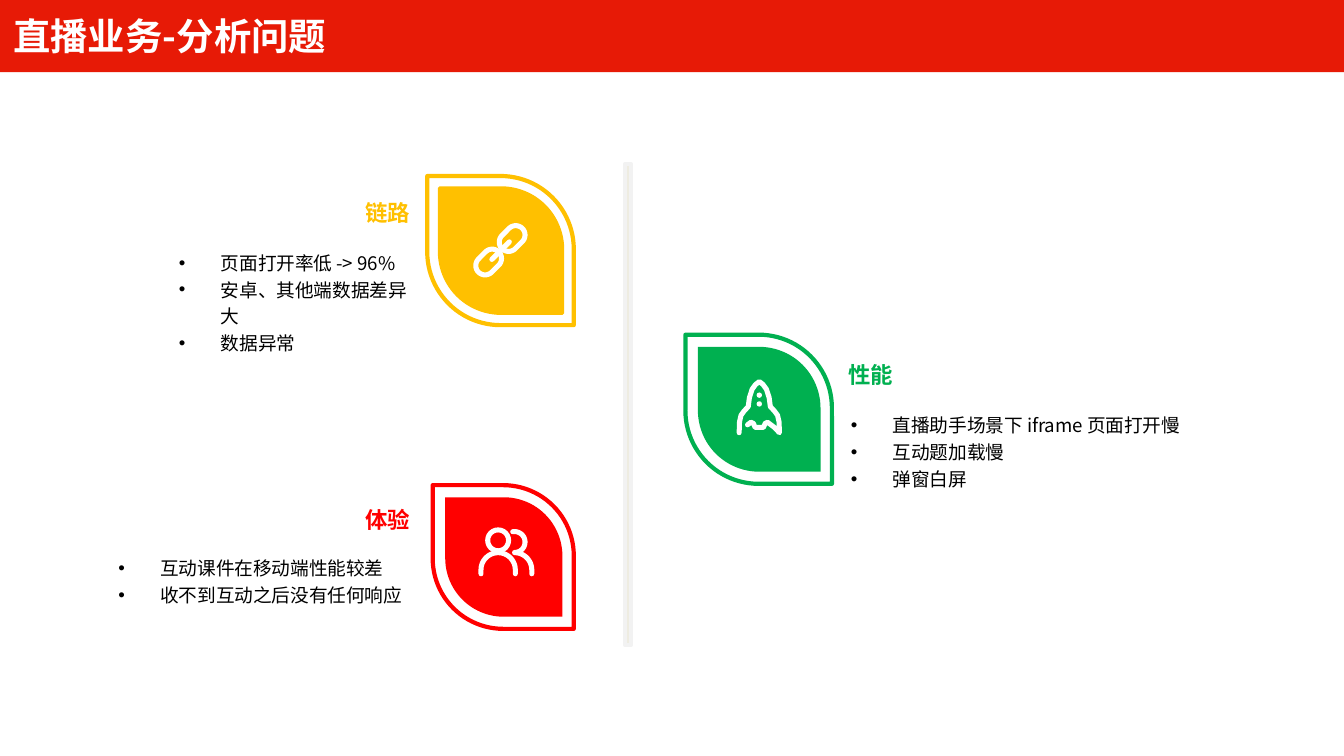
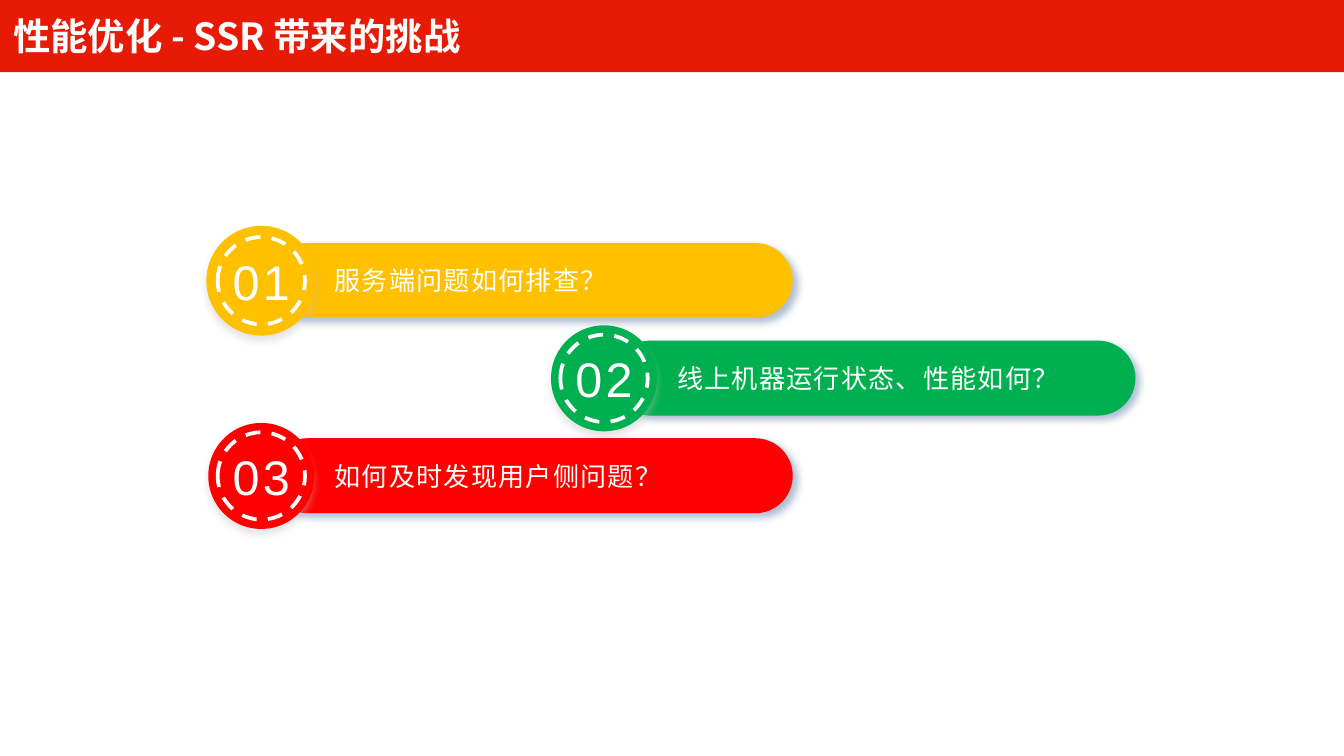
"""Build two slides: live-streaming problem analysis and the challenges of SSR."""
from math import cos, radians, sin

from lxml.etree import SubElement
from pptx import Presentation
from pptx.dml.color import RGBColor
from pptx.enum.dml import MSO_LINE_DASH_STYLE as DASH
from pptx.enum.shapes import MSO_SHAPE as SHAPE
from pptx.enum.text import MSO_ANCHOR as ANCHOR, PP_ALIGN as ALIGN
from pptx.oxml.ns import qn
from pptx.util import Pt

BAND_RED = RGBColor(0xE7, 0x1A, 0x06)
YELLOW = RGBColor(0xFF, 0xC0, 0x00)
GREEN = RGBColor(0x00, 0xB0, 0x50)
RED = RGBColor(0xFF, 0x00, 0x00)
WHITE = RGBColor(0xFF, 0xFF, 0xFF)
BLACK = RGBColor(0x00, 0x00, 0x00)
BEIGE = RGBColor(0xEE, 0xEC, 0xE1)
PALE_GREY = RGBColor(0xF2, 0xF2, 0xF2)
SHADOW_BLUE = RGBColor(0x37, 0x60, 0x92)
SHADOW_GREY = RGBColor(0xBF, 0xBF, 0xBF)
CJK = "Noto Sans CJK SC"


def add_shape(s, kind, box, fill=None, line=None, width=2, shadow=None):
    sp = s.shapes.add_shape(kind, *[Pt(v) for v in box])
    sp.shadow.inherit = False
    if fill is None:
        sp.fill.background()
    else:
        sp.fill.solid()
        sp.fill.fore_color.rgb = fill
    if line is None:
        sp.line.fill.background()
    else:
        sp.line.color.rgb = line
        sp.line.width = Pt(width)
    if shadow:
        color, angle = shadow
        effects = sp._element.spPr.find(qn("a:effectLst"))
        outer = SubElement(effects, qn("a:outerShdw"), blurRad=str(Pt(4)),
                           dist=str(Pt(3)), dir=str(angle * 60000), algn="ctr", rotWithShape="0")
        clr = SubElement(outer, qn("a:srgbClr"), val=str(color))
        SubElement(clr, qn("a:alpha"), val="40000")
    return sp


def write(sp, text, size=10, color=BLACK, font=CJK, bold=False, align=ALIGN.LEFT,
          anchor=ANCHOR.TOP, inset=(7.2, 3.6), bullet=False, after=0, spacing=0):
    tf = sp.text_frame
    tf.word_wrap = True
    tf.vertical_anchor = anchor
    tf.margin_left = tf.margin_right = Pt(inset[0])
    tf.margin_top = tf.margin_bottom = Pt(inset[1])
    for i, line in enumerate(text.split("\n")):
        p = tf.paragraphs[0] if i == 0 else tf.add_paragraph()
        p.alignment = align
        if after:
            p.space_after = Pt(after)
        if bullet:
            p.line_spacing = 1.2
            pPr = p._p.get_or_add_pPr()
            pPr.set("marL", str(Pt(22.5)))
            pPr.set("indent", str(Pt(-22.5)))
            SubElement(pPr, qn("a:buFont"), typeface="Arial")
            SubElement(pPr, qn("a:buChar"), char="•")
        r = p.add_run()
        r.text = line
        r.font.size = Pt(size)
        r.font.bold = bold
        r.font.color.rgb = color
        r.font.name = font
        rPr = r._r.get_or_add_rPr()
        SubElement(rPr, qn("a:ea"), typeface=font)
        if spacing:
            rPr.set("spc", str(round(spacing * 100)))


prs = Presentation()
prs.slide_width, prs.slide_height = Pt(720), Pt(405)

slides = []
for title in ("直播业务-分析问题", "性能优化 - SSR 带来的挑战"):
    s = prs.slides.add_slide(prs.slide_layouts[6])
    add_shape(s, SHAPE.RECTANGLE, (0, 0, 720, 38.7), BAND_RED)
    tb = s.shapes.add_textbox(Pt(0), Pt(-2.7), Pt(512), Pt(44))
    write(tb, title, size=20, color=WHITE, bold=True, anchor=ANCHOR.MIDDLE)
    slides.append(s)
problems, challenges = slides

s = problems
add_shape(s, SHAPE.RECTANGLE, (335, 87.8, 3, 258), BEIGE, PALE_GREY)

topics = [
    ("链路", YELLOW, (228.2, 95, 79.9, 78.5), YELLOW,
     (59, 105.1, 170, 21), ALIGN.RIGHT, ANCHOR.BOTTOM,
     "页面打开率低 -> 96%\n安卓、其他端数据差异大\n数据异常", (86.4, 127.4, 143.3, 36), ANCHOR.TOP),
    ("性能", GREEN, (366.5, 180, 79.9, 78.5), None,
     (445, 190.1, 169.2, 21), ALIGN.LEFT, ANCHOR.MIDDLE,
     "直播助手场景下 iframe 页面打开慢\n互动题加载慢\n弹窗白屏", (446.4, 223.2, 203.8, 36), ANCHOR.MIDDLE),
    ("体验", RED, (231.1, 260.6, 77, 75.6), None,
     (59, 269.3, 170, 21), ALIGN.RIGHT, ANCHOR.BOTTOM,
     "互动课件在移动端性能较差\n收不到互动之后没有任何响应", (54, 290.9, 175, 36), ANCHOR.TOP),
]
for name, color, leaf, edge, name_box, align, anchor, points, points_box, points_anchor in topics:
    x, y, w, h = leaf
    inner = (x + 6.8, y + 6.4, w - 13, h - 12.8)
    for box, fill, line, width in ((leaf, None, color, 2.25), (inner, color, edge, 2)):
        sp = add_shape(s, SHAPE.ROUND_2_DIAG_RECTANGLE, box, fill, line, width)
        sp.adjustments[0], sp.adjustments[1] = 0.5, 0
        sp.rotation = 270
    tb = s.shapes.add_textbox(*[Pt(v) for v in points_box])
    write(tb, points, anchor=points_anchor, inset=(9.4, 5), bullet=True)
    tb = s.shapes.add_textbox(*[Pt(v) for v in name_box])
    write(tb, name, size=12, color=color, bold=True, align=align, anchor=anchor, inset=(9.4, 5))

chain = [[(cx + 1.9, cy - 1.9, 5, -135, 45), (cx - 1.9, cy + 1.9, 5, 45, 225),
          (cx + 1.9, cy - 1.9, 5, -135, -130)] for cx, cy in ((274.4, 127.8), (261.8, 140.4))]
chain.append([(263.5, 139), (272.9, 129.6)])
rocket = [
    [(396, 231.8), (396.2, 226), (397, 222.5), (398.6, 220.3), (400.9, 217.8), (401.5, 213),
     (403, 208.5), (404.8, 206), (406.8, 204.4), (408.8, 206), (410.6, 208.5), (412.1, 213),
     (412.7, 217.8), (415, 220.3), (416.6, 222.5), (417.4, 226), (417.6, 231.8), (414.7, 228.8),
     (411.2, 226.2), (410, 226.8), (409, 229), (404.6, 229), (403.6, 226.8), (402.3, 226.2),
     (400.5, 227.6)],
    [(406.8, 211.7, 0.1, 0, 360)],
    [(406.8, 216.4, 0.1, 0, 360)],
]
users = [
    [(266.9, 289.5, 5.6, 0, 360)],
    [(257.7, 307.4), (266.9, 305.3, 9.2, 180, 360), (276.1, 307.4)],
    [(275.7, 290.4, 5.6, -100, 90), (275.7, 305.3, 9.2, -90, 0), (284.9, 307.4)],
]
for icon in (chain, rocket, users):
    outline = None
    for contour in icon:
        pts = []
        for item in contour:
            if len(item) == 2:
                pts.append(item)
                continue
            cx, cy, radius, start, end = item
            angles = [radians(start + (end - start) * i / 24) for i in range(25)]
            pts += [(cx + radius * cos(a), cy + radius * sin(a)) for a in angles]
        pts = [(Pt(x), Pt(y)) for x, y in pts]
        if outline is None:
            outline = s.shapes.build_freeform(*pts[0])
        else:
            outline.move_to(*pts[0])
        outline.add_line_segments(pts[1:], close=False)
    sp = outline.convert_to_shape()
    sp.shadow.inherit = False
    sp.fill.background()
    sp.line.color.rgb = WHITE
    sp.line.width = Pt(2.7)
    sp.line._get_or_add_ln().set("cap", "rnd")

s = challenges
questions = [
    ("服务端问题如何排查？", YELLOW, 111.6, YELLOW),
    ("线上机器运行状态、性能如何？", GREEN, 295.2, None),
    ("如何及时发现用户侧问题？", RED, 111.6, None),
]
for i, (question, color, x, edge) in enumerate(questions):
    y = 122 + 52.3 * i
    pill = add_shape(s, SHAPE.ROUNDED_RECTANGLE, (x + 33.1, y + 8.2, 280, 40.2), color,
                     shadow=(SHADOW_BLUE, 45))
    pill.adjustments[0] = 0.5
    add_shape(s, SHAPE.OVAL, (x, y, 56.8, 56.8), color, edge, shadow=(SHADOW_GREY, 90))
    ring = add_shape(s, SHAPE.OVAL, (x + 5, y + 5, 46.8, 46.8), color, WHITE)
    ring.line.dash_style = DASH.DASH
    write(ring, f"{i + 1:02}", size=26, color=WHITE, font="Arial", align=ALIGN.CENTER,
          anchor=ANCHOR.MIDDLE, inset=(0, 0), after=8, spacing=1.8)
    tb = s.shapes.add_textbox(Pt(x + 60.6), Pt(y + 15), Pt(231.8), Pt(26.6))
    write(tb, question, size=14, color=WHITE, anchor=ANCHOR.MIDDLE, after=8, spacing=0.6)

prs.save("out.pptx")
